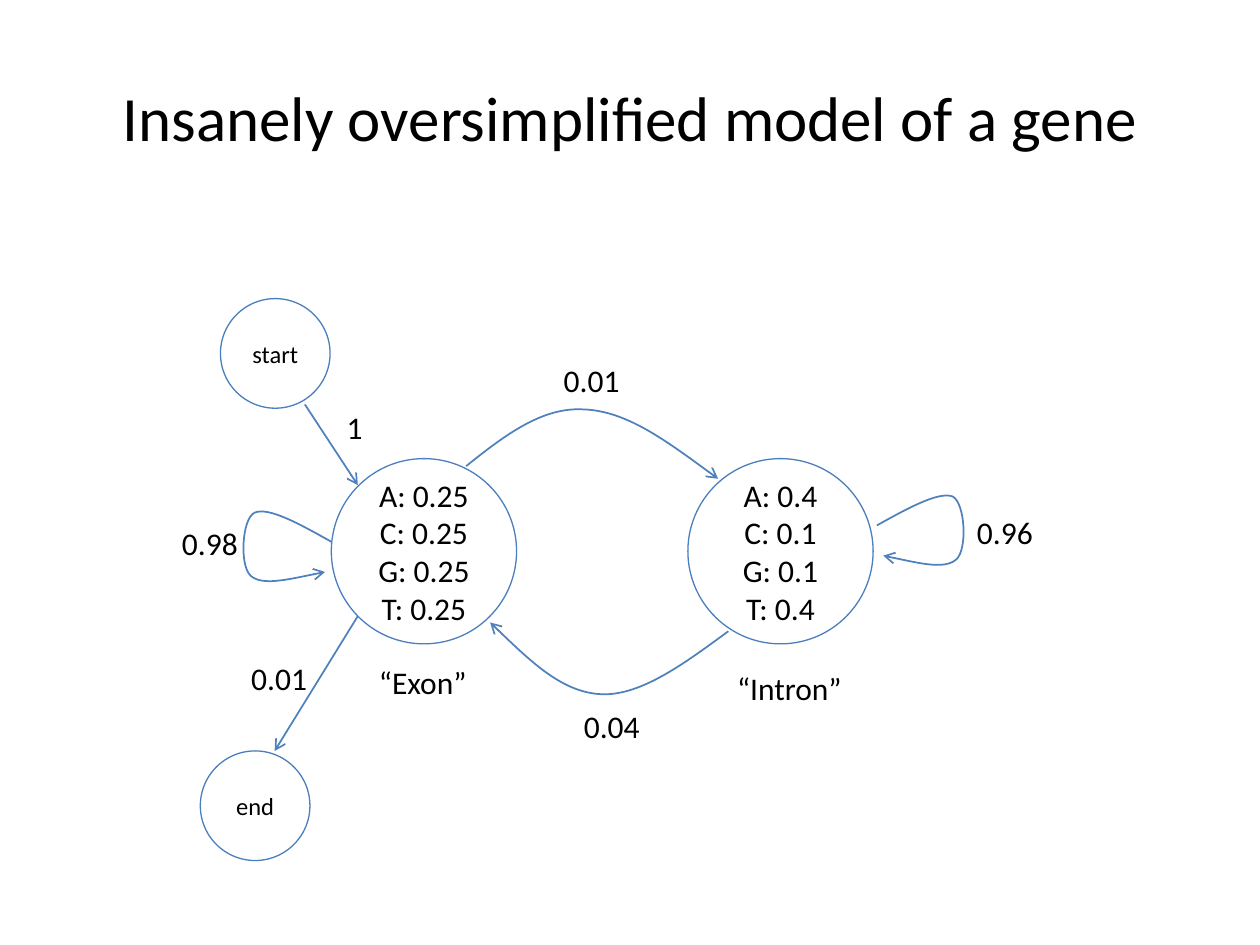
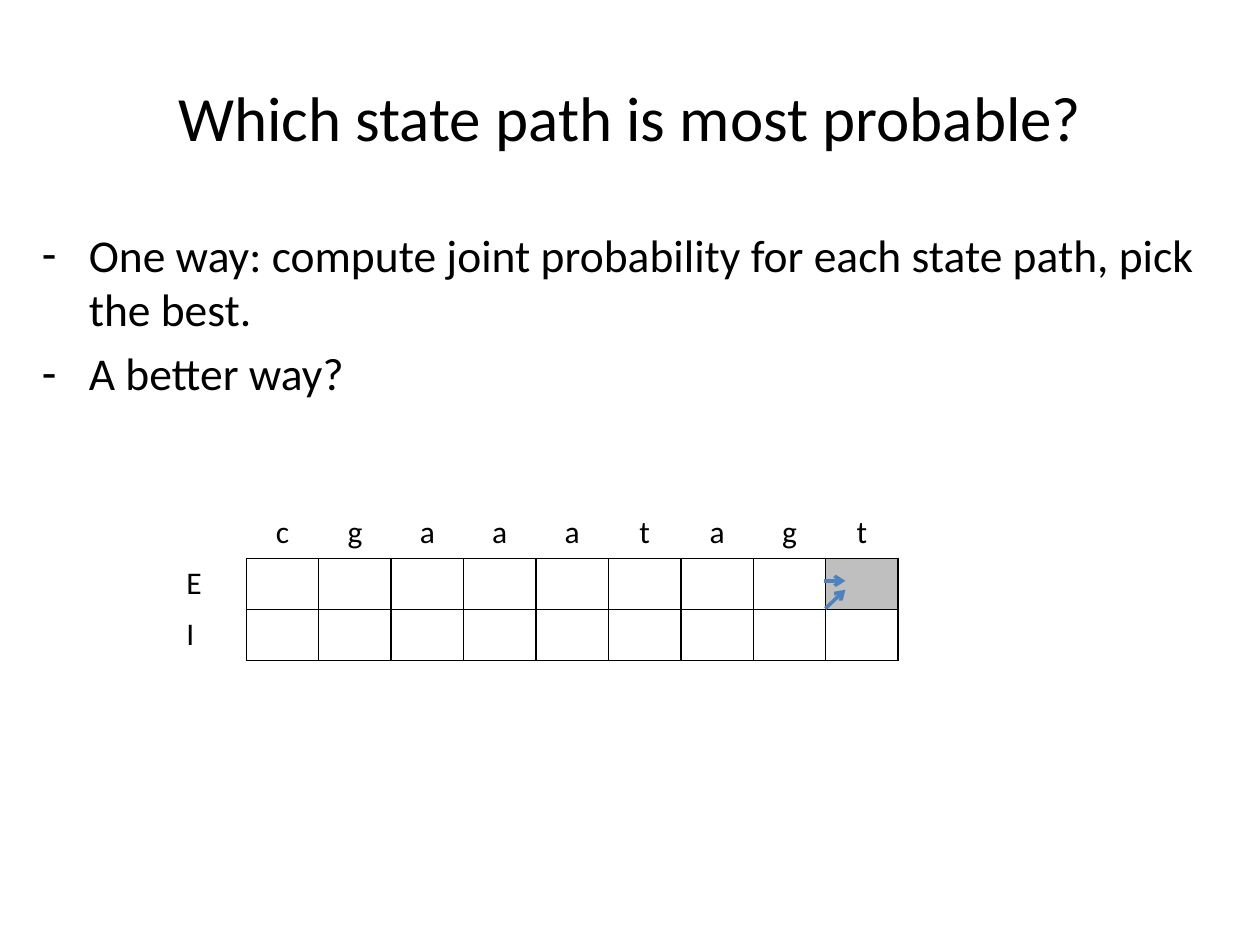
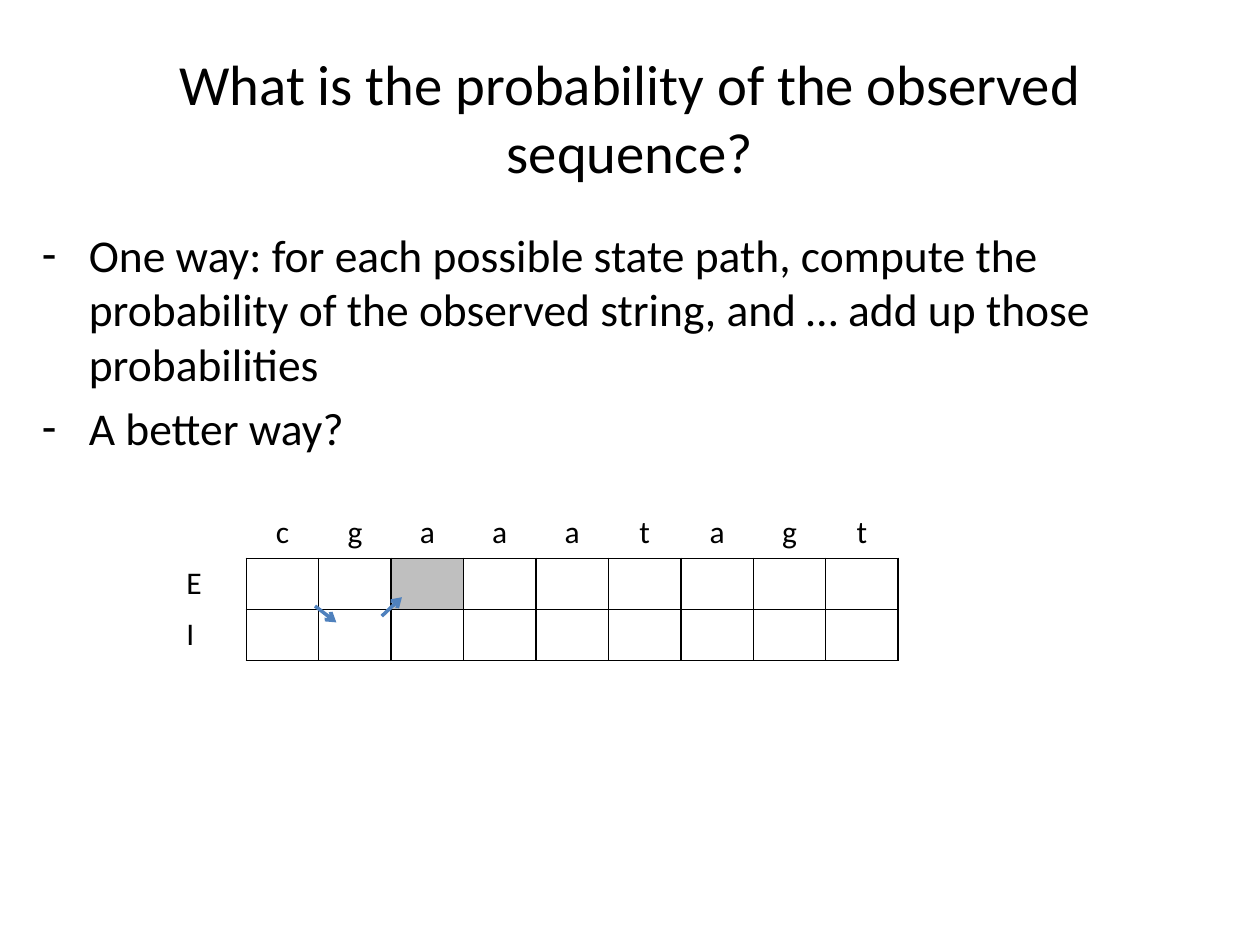
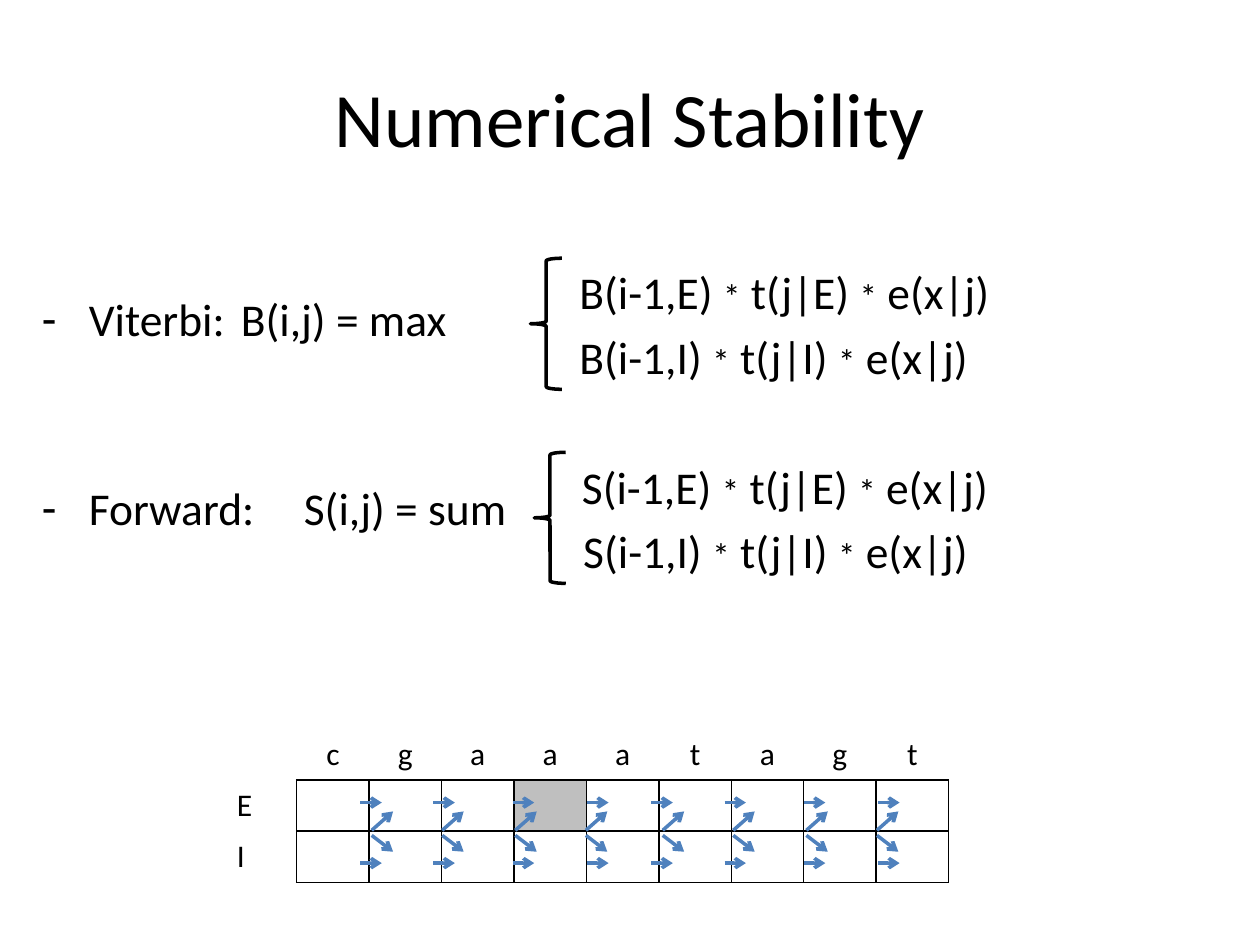
from lxml.etree import SubElement
from pptx import Presentation
from pptx.dml.color import RGBColor
from pptx.enum.shapes import MSO_CONNECTOR, MSO_SHAPE
from pptx.enum.text import MSO_ANCHOR, MSO_AUTO_SIZE, PP_ALIGN
from pptx.oxml.ns import qn
from pptx.util import Inches, Pt

FONT = "Calibri"
BLACK = RGBColor(0x00, 0x00, 0x00)
WHITE = RGBColor(0xFF, 0xFF, 0xFF)
GREY = RGBColor(0xBF, 0xBF, 0xBF)
ARROW_BLUE = RGBColor(0x4F, 0x81, 0xBD)
CIRCLE_BLUE = RGBColor(0x4B, 0x7E, 0xBC)
TITLE_ONLY, TITLE_AND_BODY = 5, 1
NO_GRID_STYLE = "{2D5ABB26-0587-4C30-8999-92F81FD0307C}"

# Gene model: left, top, diameter, text size, lines
STATES = [
    (2.63, 3.64, 1.47, 18, ["A: 0.25", "C: 0.25", "G: 0.25", "T: 0.25"]),
    (5.46, 3.64, 1.47, 18, ["A: 0.4", "C: 0.1", "G: 0.1", "T: 0.4"]),
    (1.75, 2.37, 0.87, 14, ["start"]),
    (1.59, 5.96, 0.87, 14, ["end"]),
]
# Start point, then two control points and an end point for each bend
CURVED_TRANSITIONS = [
    [(3.7, 3.7), (4, 3.46), (4.3, 3.23), (4.63, 3.25),
     (4.97, 3.26), (5.33, 3.53), (5.7, 3.8)],
    [(5.78, 5.01), (5.44, 5.26), (5.09, 5.52), (4.78, 5.51),
     (4.47, 5.5), (4.18, 5.22), (3.89, 4.94)],
    [(6.96, 4.17), (7.21, 4.03), (7.45, 3.9), (7.56, 3.94), (7.66, 3.99),
     (7.68, 4.36), (7.59, 4.44), (7.5, 4.52), (7.25, 4.46), (7.01, 4.41)],
    [(2.63, 4.3), (2.38, 4.16), (2.13, 4.02), (2.02, 4.07), (1.92, 4.12),
     (1.9, 4.49), (1.99, 4.57), (2.08, 4.65), (2.33, 4.59), (2.58, 4.54)],
]
STRAIGHT_TRANSITIONS = [((2.42, 3.21), (2.84, 3.85)), ((2.84, 4.89), (2.18, 5.96))]
MODEL_LABELS = [
    ("0.98", 1.34, 4.11, 0.65), ("0.01", 4.37, 2.82, 0.65),
    ("0.96", 7.65, 4.02, 0.65), ("0.04", 4.53, 5.56, 0.65),
    ("“Exon”", 2.9, 5.21, 0.91), ("“Intron”", 5.74, 5.26, 1.05),
    ("1", 2.65, 3.19, 0.33), ("0.01", 1.89, 5.18, 0.65),
]

SEQUENCE = "cgaaatagt"
STATE_NAMES = "EI"
COLUMN_WIDTH, ROW_HEIGHT = 0.575, 0.405

# Title, title size, bullets, shaded column of row E, arrows
QUESTIONS = [
    ("Which state path is most probable?", 36,
     ["One way: compute joint probability for each state path, pick the best.",
      "A better way?"],
     9, [((6.54, 4.61), (6.71, 4.61)), ((6.55, 4.83), (6.71, 4.68))]),
    ("What is the probability of the observed sequence?", 32.4,
     ["One way: for each possible state path, compute the probability of the "
      "observed string, and … add up those probabilities", "A better way?"],
     3, [((2.5, 4.81), (2.67, 4.94)), ((3.03, 4.89), (3.19, 4.74))]),
]

RECURRENCES = ["Viterbi:\t B(i,j) = max", "Forward:\t S(i,j) = sum"]
BRACES = [(4.21, 2.05), (4.24, 3.59)]
# Left, top, width, the factors
TERMS = [
    (4.5, 2.05, 3.47, ["B(i-1,E)", "t(j|E)", "e(x|j)"]),
    (4.5, 2.56, 3.38, ["B(i-1,I)", "t(j|I)", "e(x|j)"]),
    (4.52, 3.59, 3.44, ["S(i-1,E)", "t(j|E)", "e(x|j)"]),
    (4.53, 4.1, 3.35, ["S(i-1,I)", "t(j|I)", "e(x|j)"]),
]
# Left edges for four columns, start height, end height; repeated once
LEVEL_LEFTS = [2.86, 3.44, 4.07, 4.66]
SLANTED_LEFTS = [2.95, 3.51, 4.09, 4.65]
STEP_ARROWS = [
    (LEVEL_LEFTS, 6.85, 6.85), (LEVEL_LEFTS, 6.37, 6.37),
    (SLANTED_LEFTS, 6.63, 6.76), (SLANTED_LEFTS, 6.59, 6.44),
]
REPEAT_SHIFT, ARROW_LENGTH = 2.31, 0.17


def format_text(frame, size, align=None):
    for para in frame.paragraphs:
        if align is not None:
            para.alignment = align
        for span in para.runs:
            span.font.name = FONT
            span.font.size = Pt(size)
            span.font.color.rgb = BLACK


def add_page(deck, layout, title, size):
    page = deck.slides.add_slide(deck.slide_layouts[layout])
    heading = page.shapes.title
    heading.left, heading.top = Inches(0.5), Inches(0.3)
    heading.width, heading.height = Inches(9), Inches(1.25)
    frame = heading.text_frame
    frame.text = title
    frame.auto_size = MSO_AUTO_SIZE.NONE
    frame.vertical_anchor = MSO_ANCHOR.MIDDLE
    format_text(frame, size, PP_ALIGN.CENTER)
    return page


def fill_body(page, bullets, height):
    body = page.placeholders[1]
    body.left, body.top = Inches(0.23), Inches(1.75)
    body.width, body.height = Inches(9.5), Inches(height)
    frame = body.text_frame
    frame.text = "\n".join(bullets)
    frame.auto_size = MSO_AUTO_SIZE.NONE
    format_text(frame, 26)
    for para in frame.paragraphs:
        SubElement(para._p.get_or_add_pPr(), qn("a:buChar"), char="-")
    return frame


def add_label(shapes, text, left, top, width, height=0.4):
    box = shapes.add_textbox(Inches(left), Inches(top), Inches(width), Inches(height))
    frame = box.text_frame
    frame.word_wrap = False
    frame.text = text
    format_text(frame, 18, PP_ALIGN.CENTER)
    return frame


def add_outline(shapes, preset, left, top, width, height, color, weight):
    shape = shapes.add_shape(preset, Inches(left), Inches(top), Inches(width), Inches(height))
    shape.shadow.inherit = False
    shape.fill.background()
    shape.line.color.rgb = color
    shape.line.width = Pt(weight)
    return shape


def make_arrow(item, weight):
    """Colour a line or curve and put an open head on its end."""
    item.line.color.rgb = ARROW_BLUE
    item.line.width = Pt(weight)
    properties = item._element.spPr
    SubElement(properties.find(qn("a:ln")), qn("a:tailEnd"), type="arrow")
    if properties.find(qn("a:effectLst")) is None:
        SubElement(properties, qn("a:effectLst"))


def add_arrow(shapes, start, end, weight):
    ends = [Inches(value) for value in (*start, *end)]
    make_arrow(shapes.add_connector(MSO_CONNECTOR.STRAIGHT, *ends), weight)


def add_curve(shapes, points):
    """Draw an open freeform, then turn each three segments into one Bézier bend."""
    first, *rest = [(Inches(x), Inches(y)) for x, y in points]
    builder = shapes.build_freeform(*first)
    builder.add_line_segments(rest, close=False)
    curve = builder.convert_to_shape()
    curve.shadow.inherit = False
    curve.fill.background()
    outline = next(curve._element.iter(qn("a:path")))
    segments = outline.findall(qn("a:lnTo"))
    for index, segment in enumerate(segments):
        if index % 3 == 0:
            bend = SubElement(outline, qn("a:cubicBezTo"))
        bend.append(segment[0])
        outline.remove(segment)
    make_arrow(curve, 1)


def add_border(cell, sides):
    properties = cell._tc.get_or_add_tcPr()
    for side in sides:
        line = SubElement(properties, qn(f"a:ln{side}"), w=str(Pt(1)))
        fill = SubElement(line, qn("a:solidFill"))
        SubElement(fill, qn("a:srgbClr"), val=str(BLACK))


def add_trellis(page, left, top, shaded_column):
    """Table of states against the sequence, with one grey cell in row E."""
    columns, rows = len(SEQUENCE) + 1, len(STATE_NAMES) + 2
    table = page.shapes.add_table(
        rows, columns, Inches(left), Inches(top),
        Inches(columns * COLUMN_WIDTH), Inches(rows * ROW_HEIGHT)).table
    table.first_row = table.horz_banding = False
    table._tbl.tblPr.find(qn("a:tableStyleId")).text = NO_GRID_STYLE
    for row in range(rows):
        for column in range(columns):
            cell = table.cell(row, column)
            if row > 1 and column > 0:
                add_border(cell, "LRTB")
            elif row == 1 and column > 0:
                cell.text = SEQUENCE[column - 1]
                add_border(cell, "B")
            elif row > 1:
                cell.text = STATE_NAMES[row - 2]
                add_border(cell, "R")
            format_text(cell.text_frame, 18, PP_ALIGN.CENTER if column else None)
            cell.fill.solid()
            cell.fill.fore_color.rgb = GREY if (row, column) == (2, shaded_column) else WHITE


def add_model_page(deck):
    page = add_page(deck, TITLE_ONLY, "Insanely oversimplified model of a gene", 36)
    shapes = page.shapes.add_group_shape().shapes
    for left, top, diameter, size, lines in STATES:
        circle = add_outline(shapes, MSO_SHAPE.OVAL, left, top, diameter, diameter,
                             CIRCLE_BLUE, 0.75)
        frame = circle.text_frame
        frame.text = "\n".join(lines)
        frame.vertical_anchor = MSO_ANCHOR.MIDDLE
        format_text(frame, size, PP_ALIGN.CENTER)
    for points in CURVED_TRANSITIONS:
        add_curve(shapes, points)
    for start, end in STRAIGHT_TRANSITIONS:
        add_arrow(shapes, start, end, 1)
    for label in MODEL_LABELS:
        add_label(shapes, *label)


def add_question_page(deck, title, size, bullets, shaded_column, arrows):
    page = add_page(deck, TITLE_AND_BODY, title, size)
    fill_body(page, bullets, 4.95)
    add_trellis(page, 1.38, 3.62, shaded_column)
    for start, end in arrows:
        add_arrow(page.shapes, start, end, 2)


def add_stability_page(deck):
    page = add_page(deck, TITLE_AND_BODY, "Numerical Stability", 44)
    frame = fill_body(page, RECURRENCES, 5.58)
    frame.margin_top = Inches(0.56)
    frame.paragraphs[1].space_before = Pt(77)
    for left, top in BRACES:
        add_outline(page.shapes, MSO_SHAPE.LEFT_BRACE, left, top, 0.25, 1.04, BLACK, 2)
    add_trellis(page, 1.78, 5.38, 4)
    shapes = page.shapes.add_group_shape().shapes
    for lefts, start_top, end_top in STEP_ARROWS:
        for shift in (0, REPEAT_SHIFT):
            for left in lefts:
                x = left + shift
                add_arrow(shapes, (x, start_top), (x + ARROW_LENGTH, end_top), 2)
    for left, top, width, factors in TERMS:
        frame = add_label(page.shapes, "", left, top, width, 0.54)
        para = frame.paragraphs[0]
        for index, factor in enumerate(factors):
            if index:
                para.add_run().text = "*"
            before = " " if index else ""
            after = " " if index < len(factors) - 1 else ""
            para.add_run().text = before + factor + after
        format_text(frame, 26, PP_ALIGN.LEFT)
        for star in para.runs[1::2]:
            star.font.size = Pt(20)


def main():
    deck = Presentation()
    deck.slide_width, deck.slide_height = Inches(10), Inches(7.5)
    add_model_page(deck)
    for question in QUESTIONS:
        add_question_page(deck, *question)
    add_stability_page(deck)
    deck.save("out.pptx")


if __name__ == "__main__":
    main()
